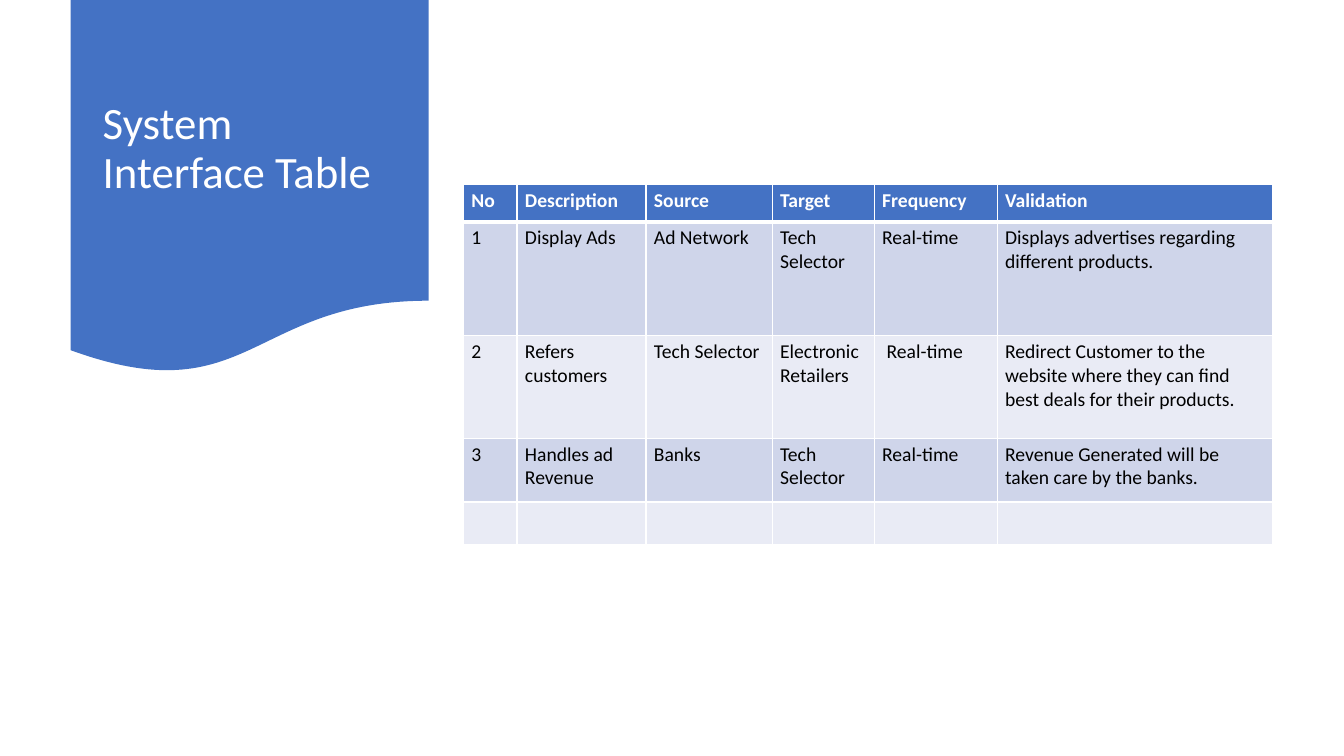
from lxml import etree
from pptx import Presentation
from pptx.dml.color import RGBColor
from pptx.enum.shapes import MSO_SHAPE
from pptx.enum.text import MSO_ANCHOR
from pptx.oxml.ns import qn
from pptx.util import Cm, Pt

DOCUMENT = MSO_SHAPE.FLOWCHART_DOCUMENT
MIDDLE = MSO_ANCHOR.MIDDLE
TOP = MSO_ANCHOR.TOP

BLUE = RGBColor(0x44, 0x72, 0xC4)
DARK_BAND = RGBColor(0xCF, 0xD5, 0xEA)
LIGHT_BAND = RGBColor(0xE9, 0xEB, 0xF5)
WHITE = RGBColor(0xFF, 0xFF, 0xFF)
BLACK = RGBColor(0x00, 0x00, 0x00)

COLUMN_WIDTHS = [1.35, 3.25, 3.18, 2.57, 3.1, 6.95]
ROW_HEIGHTS = [0.94, 2.87, 2.59, 1.6, 1.07]
INTERFACES = [
    ["No", "Description", "Source", "Target", "Frequency", "Validation"],
    ["1", "Display Ads", "Ad Network", "Tech Selector", "Real-time",
     "Displays advertises regarding different products."],
    ["2", "Refers customers", "Tech Selector", "Electronic Retailers", " Real-time",
     "Redirect Customer to the website where they can find best deals for their products."],
    ["3", "Handles ad Revenue", "Banks", "Tech Selector", "Real-time",
     "Revenue Generated will be taken care by the banks."],
    [""] * 6,
]


def write_text(frame, text, size=14, color=BLACK, bold=False, anchor=TOP,
               line_spacing=None, space_after=None):
    frame.word_wrap = True
    frame.vertical_anchor = anchor
    paragraph = frame.paragraphs[0]
    paragraph.line_spacing = line_spacing
    paragraph.space_after = space_after
    if text:
        run = paragraph.add_run()
        run.text = text
        run.font.name = "Calibri"
        run.font.size = Pt(size)
        run.font.bold = bold
        run.font.color.rgb = color


class SlideBuilder:
    def __init__(self, slide, accent=BLUE, bands=(DARK_BAND, LIGHT_BAND), border=WHITE):
        self.slide = slide
        self.accent = accent
        self.bands = bands
        self.border = border

    def panel(self, kind, left, top, width, height):
        shape = self.slide.shapes.add_shape(kind, Cm(left), Cm(top), Cm(width), Cm(height))
        shape.shadow.inherit = False
        shape.fill.solid()
        shape.fill.fore_color.rgb = self.accent
        shape.line.fill.background()

    def text(self, text, left, top, width, height, **text_format):
        box = self.slide.shapes.add_textbox(Cm(left), Cm(top), Cm(width), Cm(height))
        write_text(box.text_frame, text, **text_format)

    def cell_borders(self, cell, row_index):
        properties = cell._tc.get_or_add_tcPr()
        thick_side = {0: "lnB", 1: "lnT"}.get(row_index)
        for side in ("lnL", "lnR", "lnT", "lnB"):
            width = Pt(3) if side == thick_side else Pt(1)
            line = etree.SubElement(properties, qn("a:" + side), w=str(width))
            fill = etree.SubElement(line, qn("a:solidFill"))
            etree.SubElement(fill, qn("a:srgbClr"), val=str(self.border))

    def table(self, rows, left, top, widths, heights):
        table = self.slide.shapes.add_table(
            len(rows), len(widths), Cm(left), Cm(top),
            Cm(sum(widths)), Cm(sum(heights))).table
        for column, width in zip(table.columns, widths):
            column.width = Cm(width)
        for row_index, (row, height) in enumerate(zip(table.rows, heights)):
            row.height = Cm(height)
            header = row_index == 0
            for cell, text in zip(row.cells, rows[row_index]):
                cell.margin_left = cell.margin_right = Cm(0.2)
                cell.margin_top = cell.margin_bottom = Cm(0.1)
                self.cell_borders(cell, row_index)
                cell.fill.solid()
                cell.fill.fore_color.rgb = (
                    self.accent if header else self.bands[(row_index - 1) % 2])
                write_text(cell.text_frame, text, bold=header,
                           color=WHITE if header else BLACK)


presentation = Presentation()
presentation.slide_width = Cm(33.87)
presentation.slide_height = Cm(19.05)
builder = SlideBuilder(presentation.slides.add_slide(presentation.slide_layouts[6]))

builder.panel(DOCUMENT, 1.78, 0, 9.02, 9.45)
builder.text("System Interface Table", 2.34, 0.48, 7.9, 6.58, size=32, color=WHITE,
             anchor=MIDDLE, line_spacing=0.9, space_after=Pt(6))
builder.table(INTERFACES, 11.68, 4.65, COLUMN_WIDTHS, ROW_HEIGHTS)

presentation.save("out.pptx")
